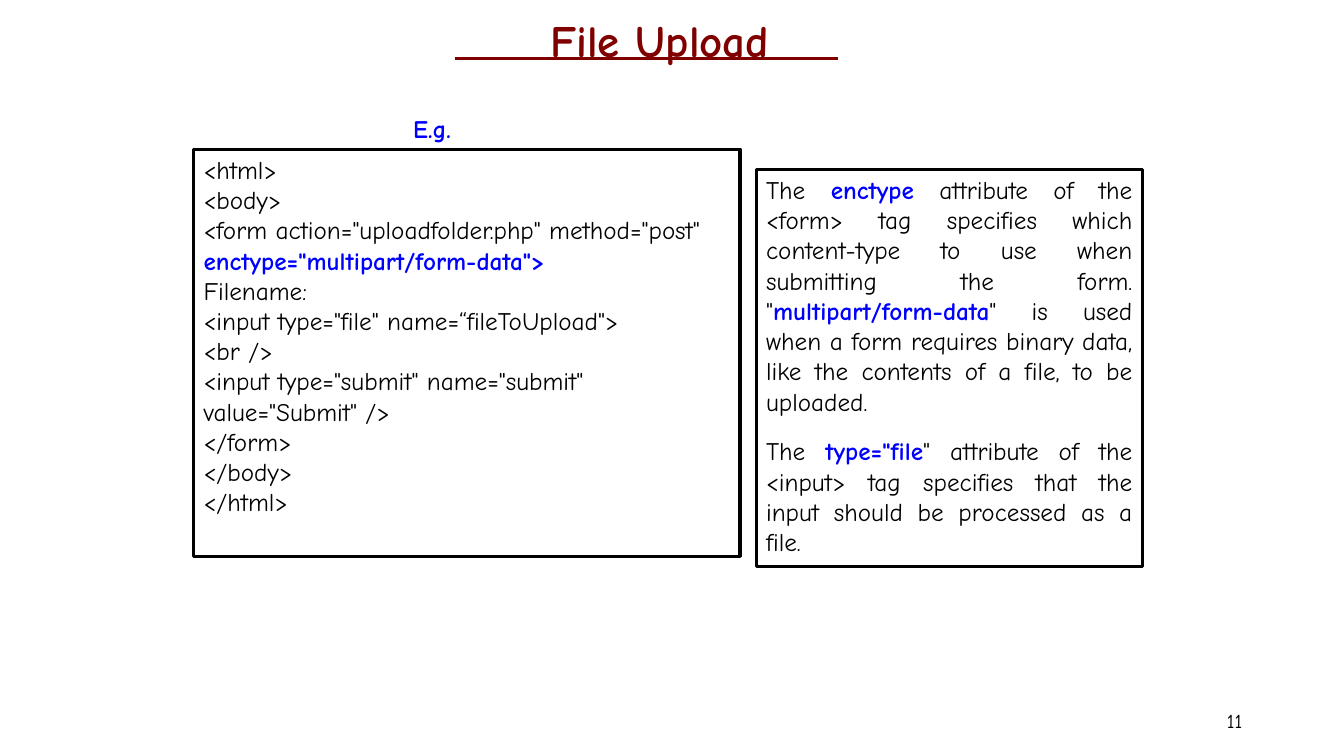
"""Build the File Upload slide with a code box and an explanation box."""
from pptx import Presentation
from pptx.dml.color import RGBColor
from pptx.enum import shapes, text
from pptx.oxml.ns import qn
from pptx.util import Inches, Pt
from lxml import etree

BLACK, BLUE, MAROON = "000000", "0000FF", "800000"
LEFT, CENTER = text.PP_ALIGN.LEFT, text.PP_ALIGN.CENTER
RIGHT, JUSTIFY = text.PP_ALIGN.RIGHT, text.PP_ALIGN.JUSTIFY


def rgb(value):
    return RGBColor.from_string(value)


def write(shape, paragraphs, size=18, color=BLACK, bold=False, align=LEFT,
          anchor=text.MSO_ANCHOR.TOP, gap=0):
    frame = shape.text_frame
    frame.word_wrap = True
    frame.vertical_anchor = anchor
    for index, pieces in enumerate(paragraphs):
        paragraph = frame.add_paragraph() if index else frame.paragraphs[0]
        paragraph.alignment = align
        paragraph.space_before = Pt(gap if index else 0)
        paragraph.font.name = "Comic Neue"
        paragraph.font.size = Pt(size)
        paragraph.font.bold = bold
        paragraph.font.color.rgb = rgb(color)
        for words, highlighted in pieces:
            run = paragraph.add_run()
            run.text = words
            run.font.name = "Comic Neue"
            run.font.size = Pt(size)
            run.font.bold = bold or highlighted
            run.font.color.rgb = rgb(BLUE if highlighted else color)


presentation = Presentation()
presentation.slide_width = Inches(13.33)
presentation.slide_height = Inches(7.5)
slide = presentation.slides.add_slide(presentation.slide_layouts[6])

labels = [
    ("11", (9.42, 6.95, 3, 0.4), 14, BLACK, False, RIGHT, text.MSO_ANCHOR.MIDDLE),
    ("File Upload", (4.42, 0.08, 4.25, 0.63), 32, MAROON, True, CENTER, text.MSO_ANCHOR.TOP),
    ("E.g.", (4, 1.08, 1.67, 0.4), 18, BLUE, True, LEFT, text.MSO_ANCHOR.TOP),
]
for words, place, size, color, bold, align, anchor in labels:
    label = slide.shapes.add_textbox(*map(Inches, place))
    write(label, [[(words, False)]], size, color, bold, align, anchor)

underline = slide.shapes.add_connector(
    shapes.MSO_CONNECTOR.STRAIGHT, Inches(4.51), Inches(0.58), Inches(8.31), Inches(0.58))
underline.line.color.rgb = rgb(MAROON)
underline.line.width = Pt(2)
etree.SubElement(underline._element.spPr, qn("a:effectLst"))

code = [
    ("<html>", False),
    ("<body>", False),
    ('<form action="uploadfolder.php" method="post"', False),
    ('enctype="multipart/form-data">', True),
    ("Filename:", False),
    ('<input type="file" name=“fileToUpload">', False),
    ("<br />", False),
    ('<input type="submit" name="submit" value="Submit" />', False),
    ("</form>", False),
    ("</body>", False),
    ("</html>", False),
]
explanation = [
    [("The ", False), ("enctype", True),
     (" attribute of the <form> tag specifies which content-type to use when "
      'submitting the form. "', False),
     ("multipart/form-data", True),
     ('" is used when a form requires binary data, like the contents of a file, '
      "to be uploaded.", False)],
    [("The ", False), ('type="file', True),
     ('" attribute of the <input> tag specifies that the input should be '
      "processed as a file.", False)],
]
boxes = [
    ((1.92, 1.48, 5.42, 4.04), [[line] for line in code], LEFT, 0),
    ((7.5, 1.68, 3.83, 3.94), explanation, JUSTIFY, 14),
]
for place, paragraphs, align, gap in boxes:
    box = slide.shapes.add_shape(shapes.MSO_SHAPE.RECTANGLE, *map(Inches, place))
    box.shadow.inherit = False
    box.fill.background()
    box.line.color.rgb = rgb(BLACK)
    box.line.width = Pt(2.25)
    write(box, paragraphs, align=align, gap=gap)

presentation.save("out.pptx")
